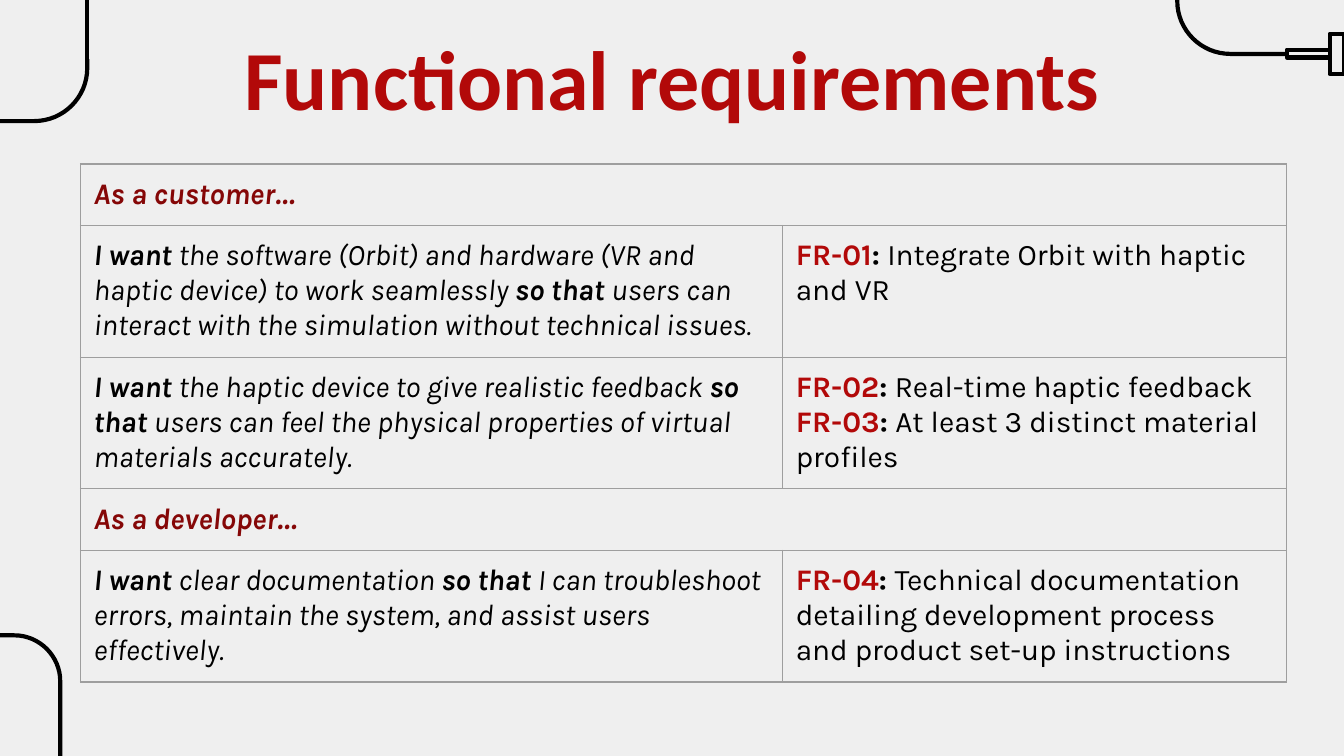
from lxml import etree
from pptx import Presentation
from pptx.dml.color import RGBColor
from pptx.enum.shapes import MSO_CONNECTOR, MSO_SHAPE
from pptx.enum.text import MSO_ANCHOR, MSO_AUTO_SIZE, PP_ALIGN
from pptx.oxml import parse_xml
from pptx.oxml.ns import nsdecls, qn
from pptx.util import Cm, Pt

STRAIGHT = MSO_CONNECTOR.STRAIGHT
RECTANGLE = MSO_SHAPE.RECTANGLE
TOP = MSO_ANCHOR.TOP
NO_FIT = MSO_AUTO_SIZE.NONE
CENTER = PP_ALIGN.CENTER

RED, DARK_RED, BLACK = "B20909", "850707", "000000"
BACKGROUND, BORDER = "EFEFEF", "9E9E9E"
BODY = {"name": "Karla", "size": Pt(16)}
FORMATS = {
    "title": {"name": "Calibri", "size": Pt(45), "bold": True, "color": RED},
    "role": {**BODY, "bold": True, "italic": True, "color": DARK_RED},
    "keyword": {**BODY, "bold": True, "italic": True, "color": BLACK},
    "story": {**BODY, "bold": False, "italic": True, "color": BLACK},
    "code": {**BODY, "bold": True, "italic": False, "color": RED},
    "colon": {**BODY, "bold": True, "italic": False, "color": BLACK},
    "requirement": {**BODY, "bold": False, "italic": False, "color": BLACK},
}


def color(value):
    return RGBColor.from_string(value)


def role(text):
    return [[[("role", text)]]]


def story(wish, reason):
    return [[("keyword", "I want "), ("story", wish + " "),
             ("keyword", "so that "), ("story", reason)]]


def requirement(code, text):
    return [("code", code), ("colon", ": "), ("requirement", text)]


def rounded_route(points, radius, steps=16):
    route = [points[0]]
    for before, corner, after in zip(points, points[1:], points[2:]):
        ends = []
        for x, y in (before, after):
            length = abs(x - corner[0]) + abs(y - corner[1])
            share = min(radius / length, 1)
            ends.append([c + (p - c) * share for p, c in zip((x, y), corner)])
        start, end = ends
        control_1 = [s + (c - s) * 0.55 for s, c in zip(start, corner)]
        control_2 = [e + (c - e) * 0.55 for e, c in zip(end, corner)]
        for step in range(steps + 1):
            t = step / steps
            u = 1 - t
            route.append(tuple(
                u**3 * a + 3 * u * u * t * b + 3 * u * t * t * c + t**3 * d
                for a, b, c, d in zip(start, control_1, control_2, end)))
    return route + [points[-1]]


class SlideBuilder:
    def __init__(self, slide):
        self.slide = slide
        self.shapes = slide.shapes
        fill = slide.background.fill
        fill.solid()
        fill.fore_color.rgb = color(BACKGROUND)

    def outline(self, shape):
        shape.line.color.rgb = color(BLACK)
        shape.line.width = Pt(2.25)

    def wire(self, points, radius):
        route = [(Cm(x), Cm(y)) for x, y in rounded_route(points, radius)]
        builder = self.shapes.build_freeform(*route[0])
        builder.add_line_segments(route[1:], close=False)
        shape = builder.convert_to_shape()
        shape.shadow.inherit = False
        shape.fill.background()
        self.outline(shape)

    def line(self, start, end):
        ends = [Cm(value) for value in (*start, *end)]
        connector = self.shapes.add_connector(STRAIGHT, *ends)
        self.outline(connector)
        etree.SubElement(connector._element.spPr, qn("a:effectLst"))

    def box(self, *bounds):
        shape = self.shapes.add_shape(RECTANGLE, *map(Cm, bounds))
        shape.shadow.inherit = False
        shape.fill.background()
        self.outline(shape)

    def run(self, paragraph, style, text):
        run = paragraph.add_run()
        run.text = text
        for name, value in FORMATS[style].items():
            if name == "color":
                run.font.color.rgb = color(value)
            else:
                setattr(run.font, name, value)

    def insets(self, target):
        for side in ("left", "right", "top", "bottom"):
            setattr(target, f"margin_{side}", Cm(0.25))

    def title(self, text, *bounds):
        shape = self.shapes.title
        shape.left, shape.top, shape.width, shape.height = map(Cm, bounds)
        frame = shape.text_frame
        self.insets(frame)
        frame.word_wrap = True
        frame.auto_size = NO_FIT
        frame.vertical_anchor = TOP
        paragraph = frame.paragraphs[0]
        paragraph.alignment = CENTER
        self.run(paragraph, "title", text)

    def border(self, cell):
        properties = cell._tc.get_or_add_tcPr()
        for index, side in enumerate("LRTB"):
            properties.insert(index, parse_xml(
                f'<a:ln{side} {nsdecls("a")} w="{Pt(0.75)}"><a:solidFill>'
                f'<a:srgbClr val="{BORDER}"/></a:solidFill></a:ln{side}>'))

    def table(self, rows, left, top, widths, heights):
        frame = self.shapes.add_table(
            len(rows), len(widths), Cm(left), Cm(top),
            Cm(sum(widths)), Cm(sum(heights)))
        table = frame.table
        table.first_row = table.horz_banding = False
        for column, width in zip(table.columns, widths):
            column.width = Cm(width)
        for index, (contents, height) in enumerate(zip(rows, heights)):
            table.rows[index].height = Cm(height)
            cells = list(table.rows[index].cells)
            for cell in cells:
                cell.fill.background()
                self.border(cell)
                self.insets(cell)
            if len(contents) == 1:
                cells[0].merge(cells[-1])
            for cell, paragraphs in zip(cells, contents):
                frame = cell.text_frame
                for number, runs in enumerate(paragraphs):
                    paragraph = frame.add_paragraph() if number else frame.paragraphs[0]
                    for style, text in runs:
                        self.run(paragraph, style, text)


def main():
    presentation = Presentation()
    presentation.slide_width, presentation.slide_height = Cm(25.4), Cm(14.29)
    slide = presentation.slides.add_slide(presentation.slide_layouts[5])
    builder = SlideBuilder(slide)

    builder.wire([(2.01, 15.14), (1.14, 15.14), (1.14, 12.01), (-0.05, 12.01)], 0.87)
    builder.box(25.13, 0.64, 0.28, 0.76)
    builder.box(24.32, 0.94, 0.81, 0.15)
    builder.wire([(24.32, 1.02), (22.25, 1.02), (22.25, -0.13)], 1)
    builder.wire([(-0.41, 2.29), (1.65, 2.29), (1.65, 1.12)], 1)
    builder.line((1.65, 1.12), (1.65, -1.07))
    builder.title("Functional requirements", 1.98, 0.25, 21.44, 2.29)

    rows = [
        role("As a customer…"),
        [story("the software (Orbit) and hardware (VR and haptic device) to work seamlessly",
               "users can interact with the simulation without technical issues."),
         [requirement("FR-01", "Integrate Orbit with haptic and VR")]],
        [story("the haptic device to give realistic feedback",
               "users can feel the physical properties of virtual materials accurately."),
         [requirement("FR-02", "Real-time haptic feedback"),
          requirement("FR-03", "At least 3 distinct material profiles")]],
        role("As a developer…"),
        [story("clear documentation",
               "I can troubleshoot errors, maintain the system, and assist users effectively."),
         [requirement("FR-04", "Technical documentation detailing development process "
                               "and product set-up instructions")]],
    ]
    heights = [1.15 if len(contents) == 1 else 2.49 for contents in rows]
    builder.table(rows, 1.52, 3.1, [13.27, 9.53], heights)
    presentation.save("out.pptx")


if __name__ == "__main__":
    main()
